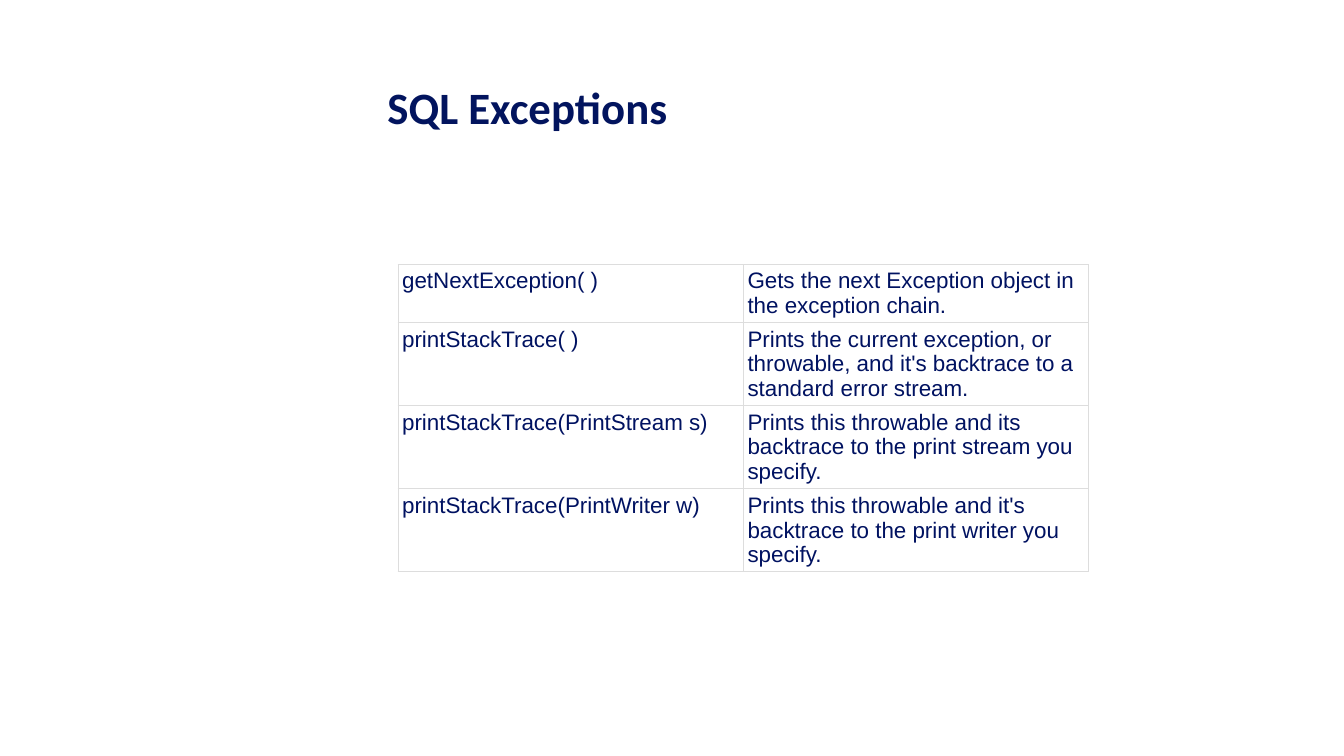
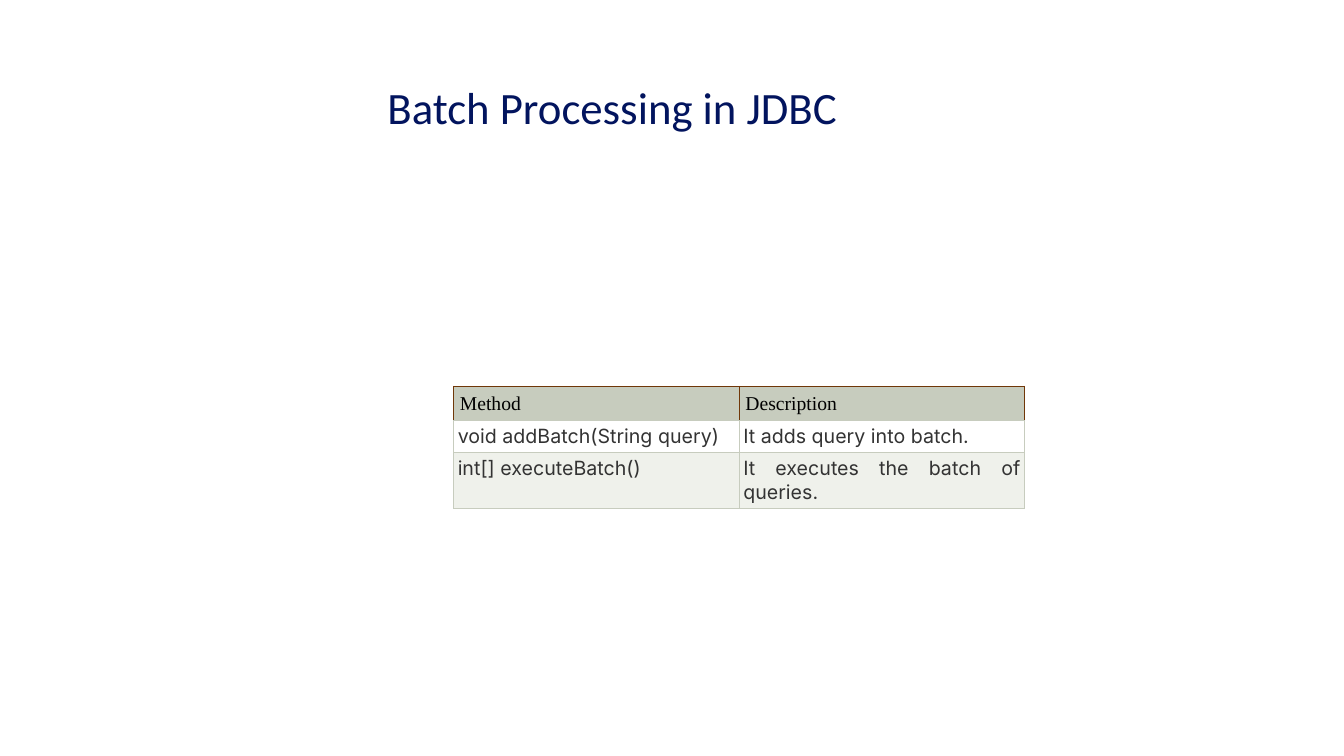
from dataclasses import dataclass

from lxml.etree import SubElement
from pptx import Presentation
from pptx.dml.color import RGBColor
from pptx.enum.text import MSO_ANCHOR, MSO_AUTO_SIZE, PP_ALIGN
from pptx.oxml.ns import qn
from pptx.util import Pt

PX = 9525  # EMU in one px; the slide is 1280 x 720 px


@dataclass(frozen=True)
class Theme:
    title_color: str = "02145E"
    title_font: str = "Calibri"
    title_size: int = 32
    title_box: tuple = (369, 76, 544, 95)
    border_pt: float = 0.75


@dataclass(frozen=True)
class CellStyle:
    font: str
    size: int
    color: str
    edges: dict
    inset: int = 4
    fill: str | None = None
    align: PP_ALIGN = PP_ALIGN.LEFT


def all_edges(color):
    return dict.fromkeys("LRTB", color)


THEME = Theme()
SAGE, BROWN = "C7CCBE", "703708"
PLAIN = CellStyle("Arial", 16, "001261", all_edges("DDDDDD"))
HEADER = CellStyle("Times New Roman", 14, "000000",
                   {**all_edges(BROWN), "B": SAGE}, inset=6, fill=SAGE)
WHITE_ROW = CellStyle("Inter", 14, "333333", all_edges(SAGE),
                      fill="FFFFFF", align=PP_ALIGN.JUSTIFY)
TINTED_ROW = CellStyle("Inter", 14, "333333", all_edges(SAGE),
                       fill="EFF1EB", align=PP_ALIGN.JUSTIFY)


def px(*lengths):
    return [n * PX for n in lengths]


def add_run(p, text, font, size, color, bold=False):
    r = p.add_run()
    r.text = text
    r.font.name, r.font.size, r.font.bold = font, Pt(size), bold
    r.font.color.rgb = RGBColor.from_string(color)


def set_insets(target, inset):
    target.margin_left = target.margin_right = inset * PX
    target.margin_top = target.margin_bottom = inset * PX


def add_title(s, text, box, bold):
    sp = s.shapes.title
    sp.left, sp.top, sp.width, sp.height = px(*box)
    tf = sp.text_frame
    tf.word_wrap = True
    tf.auto_size = MSO_AUTO_SIZE.NONE
    tf.vertical_anchor = MSO_ANCHOR.TOP
    set_insets(tf, 0)
    p = tf.paragraphs[0]
    p.alignment = PP_ALIGN.LEFT
    add_run(p, text, THEME.title_font, THEME.title_size, THEME.title_color, bold)


def set_borders(cell, edges):
    tc_pr = cell._tc.get_or_add_tcPr()
    for side, color in edges.items():
        ln = SubElement(tc_pr, qn(f"a:ln{side}"), w=str(Pt(THEME.border_pt)))
        SubElement(SubElement(ln, qn("a:solidFill")), qn("a:srgbClr"), val=color)


def fill_cell(cell, text, style):
    set_insets(cell, style.inset)
    cell.vertical_anchor = MSO_ANCHOR.TOP
    set_borders(cell, style.edges)
    if style.fill:
        cell.fill.solid()
        cell.fill.fore_color.rgb = RGBColor.from_string(style.fill)
    else:
        cell.fill.background()
    p = cell.text_frame.paragraphs[0]
    p.alignment = style.align
    add_run(p, text, style.font, style.size, style.color)


def add_method_table(s, left, top, width, rows):
    """Two equal columns; each row is (height, style, method, description)."""
    height = sum(row[0] for row in rows)
    table = s.shapes.add_table(len(rows), 2, *px(left, top, width, height)).table
    table.first_row = table.horz_banding = False
    for row, (row_height, style, *texts) in zip(table.rows, rows):
        row.height = row_height * PX
        for cell, text in zip(row.cells, texts):
            fill_cell(cell, text, style)


def add_table_slide(prs, title, bold, left, top, width, rows):
    s = prs.slides.add_slide(prs.slide_layouts.get_by_name("Title Only"))
    add_method_table(s, left, top, width, rows)
    add_title(s, title, THEME.title_box, bold)


def main():
    prs = Presentation()
    prs.slide_width, prs.slide_height = px(1280, 720)

    # Exception methods
    add_table_slide(prs, "SQL Exceptions", True, 379, 252, 658, [
        (55, PLAIN, "getNextException( )",
         "Gets the next Exception object in the exception chain."),
        (79, PLAIN, "printStackTrace( )",
         "Prints the current exception, or throwable, and it's backtrace "
         "to a standard error stream."),
        (79, PLAIN, "printStackTrace(PrintStream s)",
         "Prints this throwable and its backtrace to the print stream you specify."),
        (79, PLAIN, "printStackTrace(PrintWriter w)",
         "Prints this throwable and it's backtrace to the print writer you specify."),
    ])

    # Batch methods
    add_table_slide(prs, "Batch Processing in JDBC", False, 432, 368, 544, [
        (31, HEADER, "Method", "Description"),
        (30, WHITE_ROW, "void addBatch(String query)", "It adds query into batch."),
        (52, TINTED_ROW, "int[] executeBatch()", "It executes the batch of queries."),
    ])

    prs.save("out.pptx")


if __name__ == "__main__":
    main()
